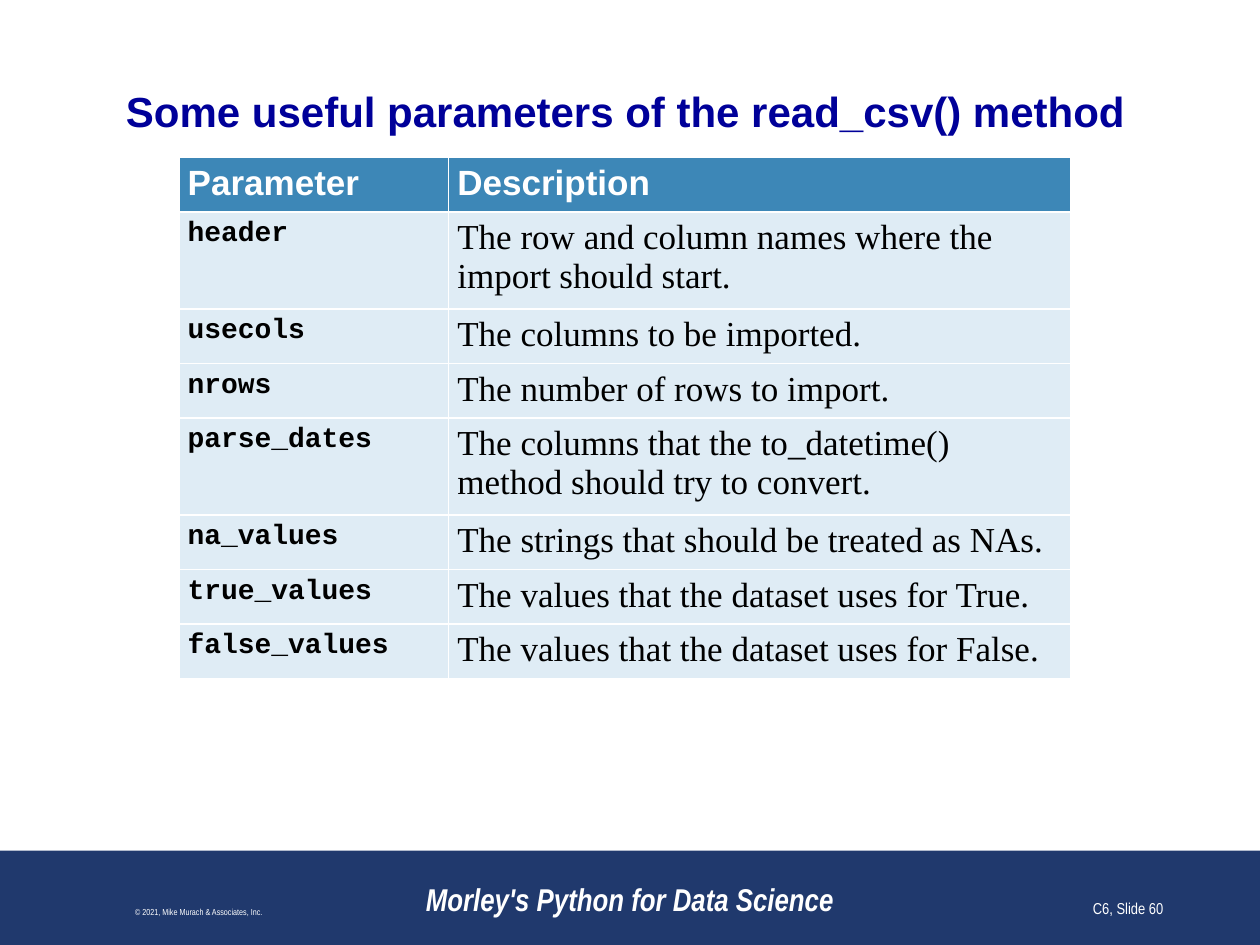
from pptx import Presentation
from pptx.dml.color import RGBColor
from pptx.enum.shapes import MSO_SHAPE
from pptx.enum.text import MSO_ANCHOR, PP_ALIGN
from pptx.util import Inches, Pt

COLORS = {
    "band": "20396D",
    "title": "000099",
    "header": "3D87B7",
    "body": "DFECF5",
    "ink": "000000",
    "white": "FFFFFF",
}

PARAMETERS = [
    ("header", "The row and column names where the import should start."),
    ("usecols", "The columns to be imported."),
    ("nrows", "The number of rows to import."),
    ("parse_dates", "The columns that the to_datetime() method should try to convert."),
    ("na_values", "The strings that should be treated as NAs."),
    ("true_values", "The values that the dataset uses for True."),
    ("false_values", "The values that the dataset uses for False."),
]


def paint(fill, color):
    """Give a fill one solid colour from the palette."""
    fill.solid()
    fill.fore_color.rgb = RGBColor.from_string(COLORS[color])


def write(frame, text, font, size, color, bold=False, italic=False, align=PP_ALIGN.LEFT):
    """Set one formatted paragraph in a text frame."""
    frame.text = text
    frame.word_wrap = True
    paragraph = frame.paragraphs[0]
    paragraph.alignment = align
    run_font = paragraph.runs[0].font
    run_font.name, run_font.size = font, Pt(size)
    run_font.bold, run_font.italic = bold, italic
    run_font.color.rgb = RGBColor.from_string(COLORS[color])


def add_title(slide, left, top, width, height):
    """Place the slide heading in the given box."""
    frame = slide.shapes.add_textbox(left, top, width, height).text_frame
    frame.margin_left = frame.margin_right = frame.margin_top = frame.margin_bottom = 0
    frame.vertical_anchor = MSO_ANCHOR.MIDDLE
    write(frame, "Some useful parameters of the read_csv() method", "Arial", 24, "title", bold=True)


def add_parameter_table(slide, left, top, width):
    """Place the parameter table, with taller rows for two-line descriptions."""
    single, double, name_width = Inches(0.41), Inches(0.72), Inches(2.14)
    heights = [single] + [double if len(text) > 45 else single for _, text in PARAMETERS]
    table = slide.shapes.add_table(len(heights), 2, left, top, width, sum(heights)).table
    table.columns[0].width = name_width
    table.columns[1].width = width - name_width
    for index, entry in enumerate([("Parameter", "Description")] + PARAMETERS):
        table.rows[index].height = heights[index]
        if index == 0:
            styles = [("Arial", 20, "white", True)] * 2
        else:
            styles = [("Courier New", 16, "ink", True), ("Times New Roman", 20, "ink", False)]
        for cell, text, style in zip(table.rows[index].cells, entry, styles):
            cell.margin_left = cell.margin_right = Inches(0.07)
            cell.margin_top = cell.margin_bottom = Inches(0.05)
            paint(cell.fill, "header" if index == 0 else "body")
            write(cell.text_frame, text, *style)


def add_footer(slide, left, top, width, height):
    """Place the footer band with book title, copyright and slide number."""
    band = slide.shapes.add_shape(MSO_SHAPE.RECTANGLE, left, top, width, height)
    band.shadow.inherit = False
    paint(band.fill, "band")
    band.line.fill.background()
    notes = [
        (3, 4, "Morley's Python for Data Science", 18, True, PP_ALIGN.CENTER),
        (0.08, 3, "© 2021, Mike Murach & Associates, Inc.", 5, False, PP_ALIGN.CENTER),
        (7.25, 2.08, "C6, Slide 60", 9, False, PP_ALIGN.RIGHT),
    ]
    for offset, note_width, text, size, strong, align in notes:
        frame = slide.shapes.add_textbox(
            left + Inches(offset), top + Inches(0.08), Inches(note_width), Inches(0.5)
        ).text_frame
        frame.vertical_anchor = MSO_ANCHOR.BOTTOM
        write(frame, text, "Arial Narrow", size, "white", strong, strong, align)


def main():
    """Build and save the slide."""
    deck = Presentation()
    deck.slide_width, deck.slide_height = Inches(10), Inches(7.5)
    slide = deck.slides.add_slide(deck.slide_layouts[6])
    add_footer(slide, Inches(0), Inches(6.75), Inches(10), Inches(0.75))
    add_title(slide, Inches(1), Inches(0.68), Inches(8), Inches(0.4))
    add_parameter_table(slide, Inches(1.42), Inches(1.25), Inches(7.08))
    deck.save("out.pptx")


if __name__ == "__main__":
    main()
